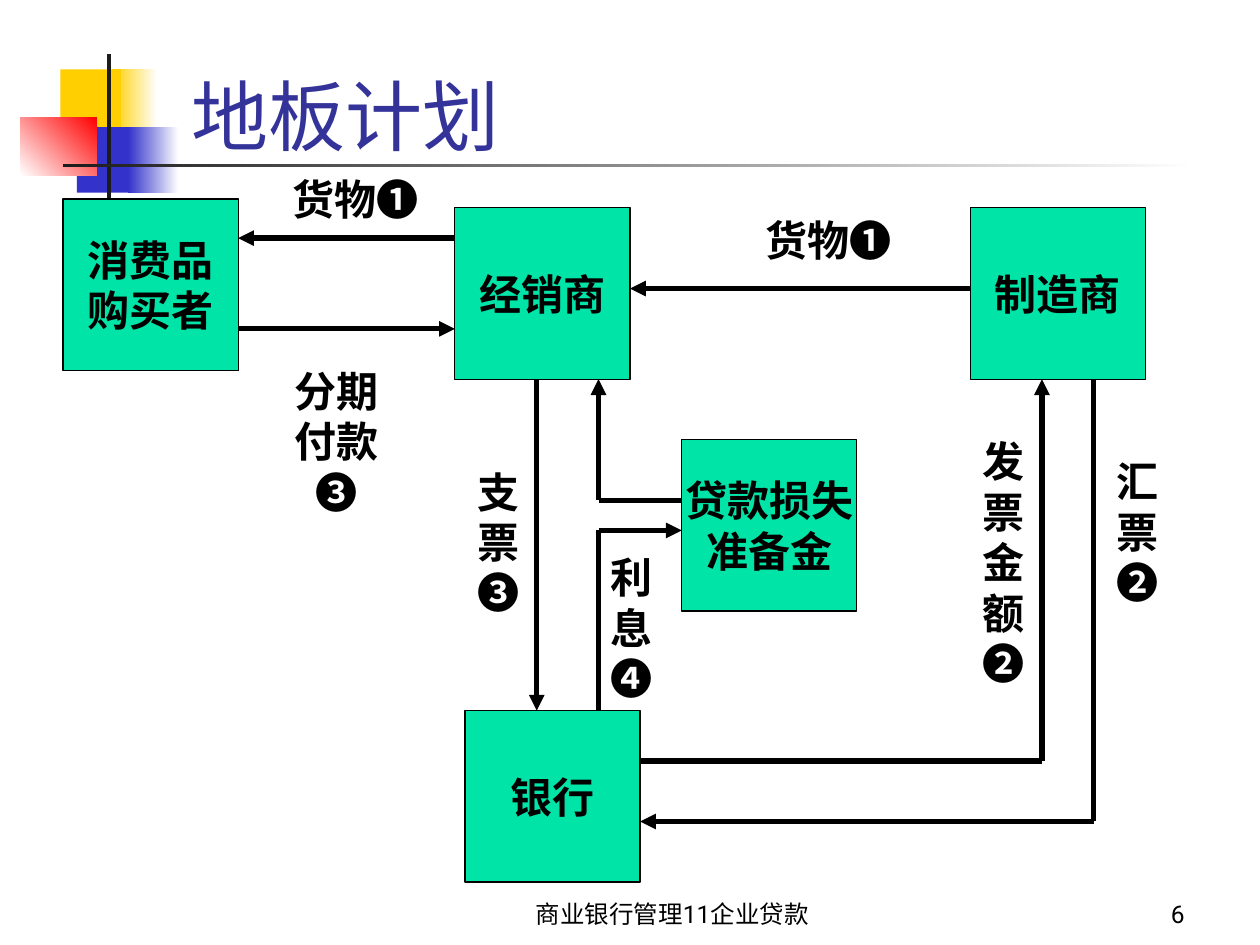
from dataclasses import dataclass

from lxml.etree import SubElement
from pptx import Presentation
from pptx.dml.color import RGBColor
from pptx.enum.shapes import MSO_CONNECTOR, MSO_SHAPE
from pptx.enum.text import MSO_ANCHOR, PP_ALIGN
from pptx.oxml.ns import qn
from pptx.util import Inches, Pt


@dataclass(frozen=True)
class Theme:
    """Colours, fonts and type sizes of the slide."""

    black: str = "000000"
    white: str = "FFFFFF"
    yellow: str = "FFCF01"
    blue: str = "3333CC"
    red: str = "FF0000"
    charcoal: str = "1C1C1C"
    green: str = "00E4A8"
    title: str = "333399"
    heading_font: str = "Roboto"
    body_font: str = "Times New Roman"
    symbol_font: str = "Arial"
    title_size: int = 44
    body_size: int = 24
    footer_size: int = 14


class FlowSlide:
    """Holds the theme and the slide, and draws each kind of element."""

    def __init__(self, slide, theme):
        """Keep the slide and its theme."""
        self.slide = slide
        self.theme = theme

    def format_run(self, run, font, size, color, bold=False):
        """Apply font, size, colour and weight to one run."""
        run.font.name = font
        run.font.size = Pt(size)
        run.font.bold = bold
        run.font.color.rgb = RGBColor.from_string(color)

    def title(self, text, left, top, width, height):
        """Fill and place the title placeholder."""
        shape = self.slide.shapes.title
        shape.left, shape.top = Inches(left), Inches(top)
        shape.width, shape.height = Inches(width), Inches(height)
        frame = shape.text_frame
        frame.text = text
        frame.vertical_anchor = MSO_ANCHOR.BOTTOM
        paragraph = frame.paragraphs[0]
        paragraph.alignment = PP_ALIGN.LEFT
        theme = self.theme
        self.format_run(paragraph.runs[0], theme.heading_font, theme.title_size, theme.title)

    def shape(self, kind, left, top, width, height):
        """Add a preset shape without shadow."""
        shape = self.slide.shapes.add_shape(
            kind, Inches(left), Inches(top), Inches(width), Inches(height))
        shape.shadow.inherit = False
        return shape

    def ornament(self, left, top, width, height, colors, angle=180):
        """Add a borderless rectangle in one colour or a two-colour gradient."""
        shape = self.shape(MSO_SHAPE.RECTANGLE, left, top, width, height)
        shape.line.fill.background()
        if len(colors) == 1:
            shape.fill.solid()
            shape.fill.fore_color.rgb = RGBColor.from_string(colors[0])
            return
        shape.fill.gradient()
        shape.fill.gradient_angle = angle
        for stop, color in zip(shape.fill.gradient_stops, colors):
            stop.color.rgb = RGBColor.from_string(color)

    def party(self, lines, left, top):
        """Add a green box naming one party of the plan."""
        theme = self.theme
        shape = self.shape(MSO_SHAPE.FLOWCHART_PROCESS, left, top, 1.39, 1.36)
        shape.fill.solid()
        shape.fill.fore_color.rgb = RGBColor.from_string(theme.green)
        shape.line.color.rgb = RGBColor.from_string(theme.black)
        shape.line.width = Pt(0.75)
        frame = shape.text_frame
        frame.text = "\n".join(lines)
        frame.word_wrap = False
        frame.vertical_anchor = MSO_ANCHOR.MIDDLE
        for paragraph in frame.paragraphs:
            paragraph.alignment = PP_ALIGN.CENTER
            self.format_run(paragraph.runs[0], theme.body_font, theme.body_size, theme.black, True)

    def text_box(self, left, top, width, height, alignment):
        """Add an empty wrapping text box and return its frame."""
        box = self.slide.shapes.add_textbox(
            Inches(left), Inches(top), Inches(width), Inches(height))
        box.text_frame.word_wrap = True
        box.text_frame.paragraphs[0].alignment = alignment
        return box.text_frame

    def label(self, text, number, left, top, width, height, alignment=PP_ALIGN.LEFT):
        """Add a flow label followed by its step number."""
        theme = self.theme
        paragraph = self.text_box(left, top, width, height, alignment).paragraphs[0]
        for part, font in ((text, theme.body_font), (number, theme.symbol_font)):
            run = paragraph.add_run()
            run.text = part
            self.format_run(run, font, theme.body_size, theme.black, True)

    def footer(self, text, left, width, alignment):
        """Add a bottom-anchored footer text."""
        theme = self.theme
        frame = self.text_box(left, 6.92, width, 0.5, alignment)
        frame.vertical_anchor = MSO_ANCHOR.BOTTOM
        run = frame.paragraphs[0].add_run()
        run.text = text
        self.format_run(run, theme.heading_font, theme.footer_size, theme.black)

    def flow(self, *points):
        """Draw straight lines through the points with an arrowhead at the last."""
        for start, end in zip(points, points[1:]):
            connector = self.slide.shapes.add_connector(
                MSO_CONNECTOR.STRAIGHT, *(Inches(value) for value in start + end))
            connector.line.color.rgb = RGBColor.from_string(self.theme.black)
            connector.line.width = Pt(3)
            if end == points[-1]:
                SubElement(connector.line._get_or_add_ln(), qn("a:tailEnd"), type="triangle")
            SubElement(connector._element.spPr, qn("a:effectLst"))


def main():
    """Build the floor plan slide and save it."""
    presentation = Presentation()
    presentation.slide_width = Inches(10)
    presentation.slide_height = Inches(7.5)
    theme = Theme()
    page = FlowSlide(presentation.slides.add_slide(presentation.slide_layouts[5]), theme)

    page.ornament(0.89, 0.55, 0.36, 0.52, (theme.white, theme.yellow))
    page.ornament(0.48, 0.55, 0.48, 0.52, (theme.yellow,))
    page.ornament(0.61, 1.01, 0.46, 0.52, (theme.blue,))
    page.ornament(1.02, 1.01, 0.4, 0.52, (theme.white, theme.blue))
    page.ornament(0.16, 0.93, 0.61, 0.46, (theme.red, theme.white), 225)
    page.ornament(0.85, 0.43, 0.03, 1.15, (theme.charcoal,))
    page.ornament(0.5, 1.3, 9, 0.03, (theme.white, theme.charcoal))
    page.title("地板计划", 1.42, 0.42, 8.37, 0.91)

    page.label("分期付款", "❸", 2.14, 2.85, 1.06, 1.3, PP_ALIGN.CENTER)
    page.label("支票", "❸", 3.69, 3.65, 0.65, 1.3)
    page.label("货物", "❶", 2.22, 1.33, 1.31, 0.5)
    page.label("发票金额", "❷", 7.7, 3.41, 0.65, 2.1)
    page.label("利息", "❹", 4.75, 4.33, 0.57, 1.3)
    page.label("货物", "❶", 5.98, 1.65, 1.47, 0.5)
    page.label("汇票", "❷", 8.76, 3.57, 0.57, 1.3)

    page.party(("消费品", "购买者"), 0.5, 1.58)
    page.party(("经销商",), 3.61, 1.65)
    page.party(("制造商",), 7.7, 1.65)
    page.party(("银行",), 3.69, 5.64)
    page.party(("贷款损失", "准备金"), 5.41, 3.49)

    page.flow((3.61, 1.89), (1.89, 1.89))
    page.flow((1.89, 2.61), (3.61, 2.61))
    page.flow((7.7, 2.29), (5, 2.29))
    page.flow((4.26, 3.01), (4.26, 5.64))
    page.flow((5.41, 3.97), (4.75, 3.97), (4.75, 3.01))
    page.flow((4.75, 5.64), (4.75, 4.21), (5.41, 4.21))
    page.flow((5.08, 6.04), (8.27, 6.04), (8.27, 3.01))
    page.flow((8.68, 3.01), (8.68, 6.52), (5.08, 6.52))

    page.footer("商业银行管理11企业贷款", 3.25, 4.17, PP_ALIGN.CENTER)
    page.footer("6", 7.42, 2.08, PP_ALIGN.RIGHT)
    presentation.save("out.pptx")


if __name__ == "__main__":
    main()
